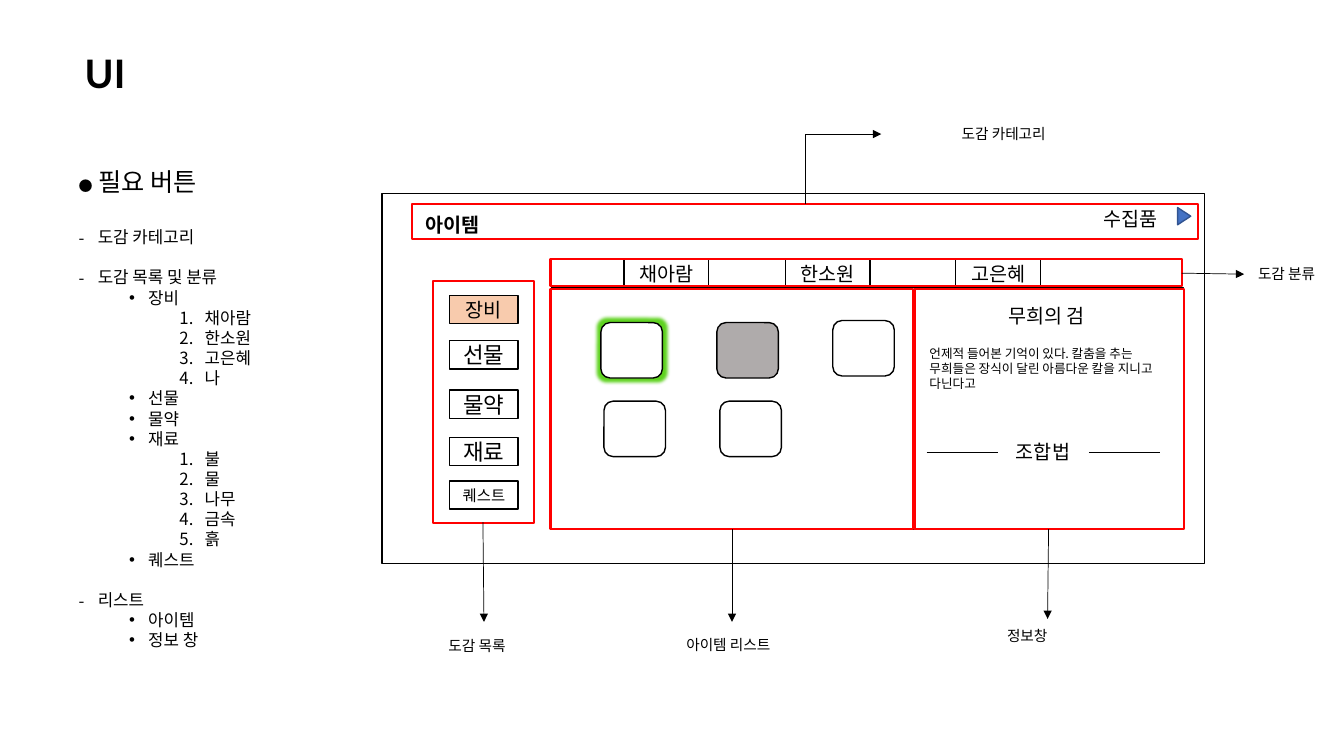
"""Build the UI slide: a button list beside an annotated item-book wireframe."""
from lxml.etree import SubElement
from pptx import Presentation
from pptx.dml.color import RGBColor
from pptx.enum.shapes import MSO_CONNECTOR, MSO_SHAPE
from pptx.enum.text import MSO_ANCHOR, MSO_AUTO_SIZE, PP_ALIGN
from pptx.oxml.ns import qn
from pptx.util import Inches, Pt

KOREAN = "Noto Sans CJK KR"
CELL = Inches(0.1)
BLACK, WHITE, RED = "000000", "FFFFFF", "FF0000"
RECTANGLE, ROUNDED = MSO_SHAPE.RECTANGLE, MSO_SHAPE.ROUNDED_RECTANGLE


def color(value):
    """Turn a hex string into a colour."""
    return RGBColor.from_string(value)


def write(paragraph, text, size, bold=False, font=KOREAN):
    """Add one run and fit the line height to its size."""
    run = paragraph.add_run()
    run.text = text
    run.font.size = Pt(size)
    run.font.bold = bold
    run.font.color.rgb = color(BLACK)
    run.font.name = font
    SubElement(run._r.get_or_add_rPr(), qn("a:ea"), typeface=font)
    paragraph.line_spacing = Pt(size * 1.2)


presentation = Presentation()
presentation.slide_width, presentation.slide_height = Inches(13.33), Inches(7.5)
slide = presentation.slides.add_slide(presentation.slide_layouts[1])
shapes = slide.shapes

title, body = shapes.title, slide.placeholders[1]
for placeholder, box in ((title, (7.4, 4.4, 27.3, 5.7)), (body, (6.8, 16, 34.4, 49.5))):
    placeholder.left, placeholder.top, placeholder.width, placeholder.height = (
        int(cells * CELL) for cells in box)
    placeholder.text_frame.auto_size = MSO_AUTO_SIZE.NONE
    placeholder.text_frame.vertical_anchor = MSO_ANCHOR.TOP
    placeholder.text_frame.word_wrap = True
title.text_frame.paragraphs[0].alignment = PP_ALIGN.LEFT
write(title.text_frame.paragraphs[0], "UI", 28, True, "Lato")

heading = body.text_frame.paragraphs[0]
heading_properties = heading._p.get_or_add_pPr()
heading_properties.set("marL", "0")
heading_properties.set("indent", "0")
SubElement(heading_properties, qn("a:buNone"))
heading.space_before = Pt(0)
write(heading, "●", 10)
write(heading, " 필요 버튼", 18)

indents = [(0.19, 0.19), (0.69, 0.19), (1.25, 0.25)]
button_list = [
    (0, "도감 카테고리", 21.6), (0, "도감 목록 및 분류", 14.4), (1, "장비", 0),
    (2, "채아람", 0), (2, "한소원", 0), (2, "고은혜", 0), (2, "나", 0),
    (1, "선물", 0), (1, "물약", 0), (1, "재료", 0),
    (2, "불", 0), (2, "물", 0), (2, "나무", 0), (2, "금속", 0), (2, "흙", 0),
    (1, "퀘스트", 0), (0, "리스트", 14.4), (1, "아이템", 0), (1, "정보 창", 0),
]
for level, text, gap in button_list:
    paragraph = body.text_frame.add_paragraph()
    paragraph.level = level
    margin, hanging = indents[level]
    properties = paragraph._p.get_or_add_pPr()
    properties.set("marL", str(Inches(margin)))
    properties.set("indent", str(-Inches(hanging)))
    SubElement(properties, qn("a:buFont"), typeface=("Noto Sans CJK KR", "Arial", KOREAN)[level])
    if level == 2:
        SubElement(properties, qn("a:buAutoNum"), type="arabicPeriod")
    else:
        SubElement(properties, qn("a:buChar"), char="-•"[level])
    paragraph.space_before = Pt(gap)
    write(paragraph, text, 12)

categories = [("장비", 29.3, 14), ("선물", 33.8, 16), ("물약", 38.7, 16),
              ("재료", 43.4, 16), ("퀘스트", 47.7, 11)]
tabs = [("채아람", 61.9), ("한소원", 77.9), ("고은혜", 94.8)]
item_slots = [(59.6, 32), (71.1, 32), (82.6, 31.8), (59.9, 39.8), (71.4, 39.8)]
panels = [
    (RECTANGLE, (37.9, 19.2, 81.6, 36.7), None, BLACK, "", 0),
    (RECTANGLE, (54.7, 28.5, 62.6, 24), None, BLACK, "", 0),
    (RECTANGLE, (90.7, 28.5, 26.7, 24), WHITE, BLACK, "", 0),
]
panels += [(RECTANGLE, (44.6, top, 6.8, 2.8), WHITE if row else "F8CBAD", BLACK, text, size)
           for row, (text, top, size) in enumerate(categories)]
panels += [(RECTANGLE, (left, 25.7, 8.4, 2.8), WHITE, BLACK, text, 14) for text, left in tabs]
panels += [(ROUNDED, (left, top, 6.1, 5.5), "AFABAB" if slot == 1 else WHITE, BLACK, "", 0)
           for slot, (left, top) in enumerate(item_slots)]
panels += [(RECTANGLE, box, None, RED, "", 0) for box in (
    (40.9, 20.2, 77.9, 3.5), (42.9, 27.9, 10.1, 24), (54.6, 25.7, 62.6, 2.7),
    (54.6, 28.7, 36, 23.8), (90.7, 28.7, 26.7, 23.8))]
panels.append((MSO_SHAPE.ISOSCELES_TRIANGLE, (116.6, 20.8, 1.7, 1.3), "4472C4", "325491", "", 0))

for kind, box, fill, line, text, size in panels:
    shape = shapes.add_shape(kind, *(int(cells * CELL) for cells in box))
    shape.shadow.inherit = False
    if fill:
        shape.fill.solid()
        shape.fill.fore_color.rgb = color(fill)
    else:
        shape.fill.background()
    shape.line.color.rgb = color(line)
    shape.line.width = Pt(1.5 if line == RED else 1)
    if kind == MSO_SHAPE.ISOSCELES_TRIANGLE:
        shape.rotation = 90
    if box[:2] == item_slots[0]:
        effects = shape._element.spPr.find(qn("a:effectLst"))
        glow = SubElement(effects, qn("a:glow"), rad=str(Pt(5)))
        SubElement(glow, qn("a:srgbClr"), val="5FD320")
    if text:
        frame = shape.text_frame
        frame.margin_left = frame.margin_right = frame.margin_top = frame.margin_bottom = 0
        frame.vertical_anchor = MSO_ANCHOR.MIDDLE
        frame.paragraphs[0].alignment = PP_ALIGN.CENTER
        write(frame.paragraphs[0], text, size)

connectors = [
    (MSO_CONNECTOR.ELBOW, (87.1, 20.5, 80.2, 13), True),
    (MSO_CONNECTOR.STRAIGHT, (47.9, 51.8, 48, 61.7), True),
    (MSO_CONNECTOR.STRAIGHT, (117.2, 27.1, 123.4, 27.2), True),
    (MSO_CONNECTOR.STRAIGHT, (72.6, 52.5, 72.6, 61.7), True),
    (MSO_CONNECTOR.STRAIGHT, (104, 52.5, 103.9, 61.4), True),
    (MSO_CONNECTOR.STRAIGHT, (91.9, 44.9, 99, 44.9), False),
    (MSO_CONNECTOR.STRAIGHT, (108, 44.9, 115.1, 44.9), False),
]
for kind, ends, has_arrow in connectors:
    connector = shapes.add_connector(kind, *(int(cells * CELL) for cells in ends))
    connector.line.color.rgb = color(BLACK)
    connector.line.width = Pt(0.5 if has_arrow else 1)
    connector_properties = connector._element.spPr
    if has_arrow:
        SubElement(connector.line._get_or_add_ln(), qn("a:tailEnd"), type="triangle")
    if kind == MSO_CONNECTOR.ELBOW:
        connector_properties.find(qn("a:prstGeom")).set("prst", "bentConnector2")
        connector_properties.find(qn("a:xfrm")).set("rot", "5400000")
    SubElement(connector_properties, qn("a:effectLst"))

captions = [
    ("아이템", (40.7, 20.6, 8.4, 3.3), 14, True, PP_ALIGN.CENTER),
    ("수집품", (107.9, 20, 8.4, 3.3), 14, False, PP_ALIGN.CENTER),
    ("무희의 검", (98.3, 29.7, 11, 3.4), 14, False, PP_ALIGN.CENTER),
    ("조합법", (99.3, 43.2, 8.3, 3.4), 14, False, PP_ALIGN.CENTER),
    ("언제적 들어본 기억이 있다. 칼춤을 추는 무희들은 장식이 달린 아름다운 칼을 지니고 다닌다고",
     (91.2, 33.8, 25.3, 5.6), 9, False, PP_ALIGN.LEFT),
]
labels = [("도감 카테고리", 94.4, 11.9), ("도감 목록", 43.5, 62.7), ("도감 분류", 123.8, 25.8),
          ("아이템 리스트", 67.1, 62.6), ("정보창", 98.9, 61.7)]
captions += [(text, (left, top, 11.6, 2.8), 10.5, False, PP_ALIGN.LEFT)
             for text, left, top in labels]
for text, box, size, bold, alignment in captions:
    frame = shapes.add_textbox(*(int(cells * CELL) for cells in box)).text_frame
    frame.word_wrap = True
    frame.paragraphs[0].alignment = alignment
    write(frame.paragraphs[0], text, size, bold)

presentation.save("out.pptx")
